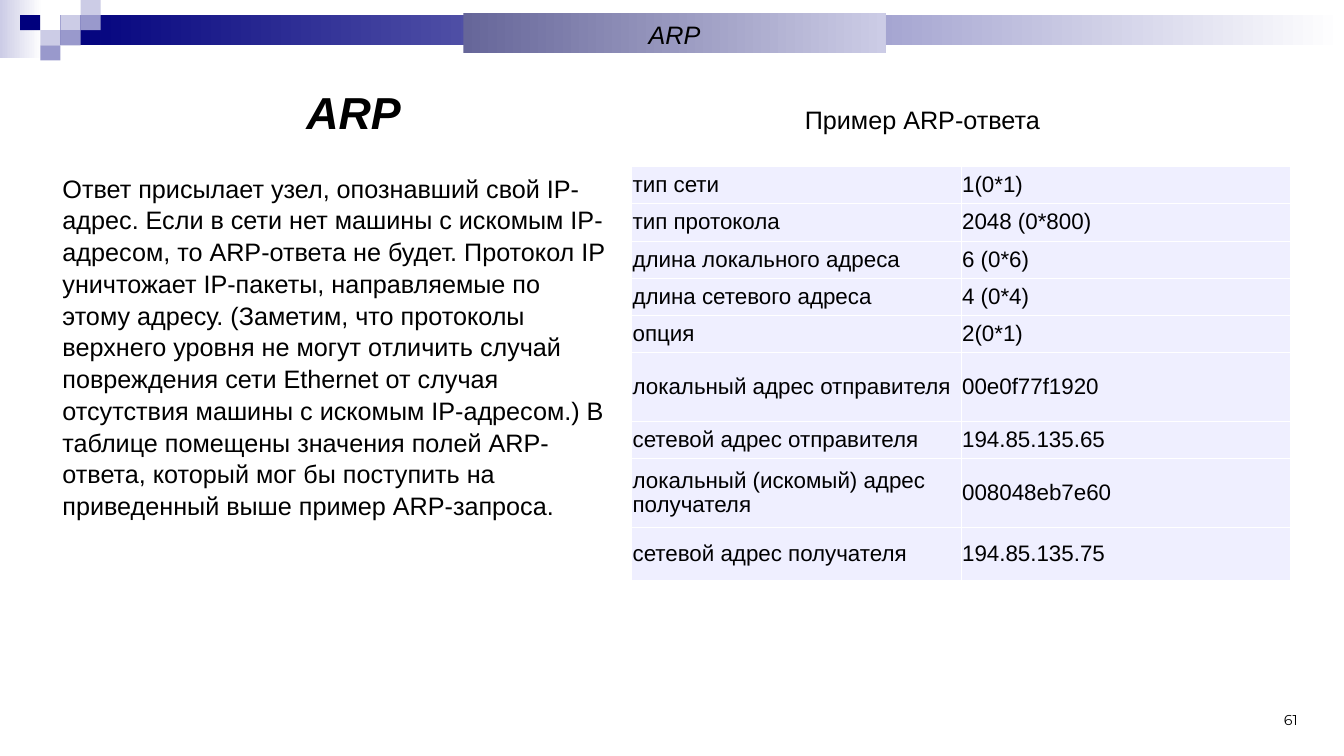
from lxml.etree import SubElement
from pptx import Presentation
from pptx.dml.color import RGBColor
from pptx.enum.shapes import MSO_SHAPE as Shape
from pptx.enum.text import MSO_ANCHOR as Anchor, MSO_AUTO_SIZE as AutoSize, PP_ALIGN as Align
from pptx.oxml.ns import qn
from pptx.util import Inches, Pt

BLACK = RGBColor(0x00, 0x00, 0x00)
WHITE = RGBColor(0xFF, 0xFF, 0xFF)
NAVY = RGBColor(0x00, 0x00, 0x7D)
SLATE = RGBColor(0x66, 0x66, 0x99)
LILAC = RGBColor(0x99, 0x99, 0xCC)
PALE = RGBColor(0xCC, 0xCC, 0xE6)
CELL = RGBColor(0xEF, 0xEF, 0xFF)

TEXT = {"name": "Arial", "size": Pt(18), "bold": False, "italic": False}
TITLE = {**TEXT, "size": Pt(32), "bold": True, "italic": True}
BANNER = {**TEXT, "italic": True}
TABLE = {**TEXT, "size": Pt(16)}
NUMBER = {**TEXT, "name": "Montserrat", "size": Pt(10.2)}

SQUARE_WIDTH, SQUARE_HEIGHT = 0.2, 0.15
SQUARES = [
    (3, 1, PALE), (4, 0, PALE), (4, 1, LILAC), (2, 2, PALE),
    (1, 1, NAVY), (3, 2, LILAC), (2, 3, LILAC),
]

BODY = (
    "Ответ присылает узел, опознавший свой IP-адрес. Если в сети нет машины "
    "с искомым IP-адресом, то ARP-ответа не будет. Протокол IP уничтожает "
    "IP-пакеты, направляемые по этому адресу. (Заметим, что протоколы верхнего "
    "уровня не могут отличить случай повреждения сети Ethernet от случая "
    "отсутствия машины с искомым IP-адресом.) В таблице помещены значения полей "
    "ARP-ответа, который мог бы поступить на приведенный выше пример ARP-запроса."
)

ROWS = [
    (0.37, "тип сети", "1(0*1)"),
    (0.37, "тип протокола", "2048 (0*800)"),
    (0.37, "длина локального адреса", "6 (0*6)"),
    (0.37, "длина сетевого адреса", "4 (0*4)"),
    (0.37, "опция", "2(0*1)"),
    (0.68, "локальный адрес отправителя", "00e0f77f1920"),
    (0.37, "сетевой адрес отправителя", "194.85.135.65"),
    (0.68, "локальный (искомый) адрес получателя", "008048eb7e60"),
    (0.53, "сетевой адрес получателя", "194.85.135.75"),
]


def write(frame, text, font, align=Align.LEFT, spacing=1.0):
    frame.text = text
    paragraph = frame.paragraphs[0]
    properties = paragraph._p.get_or_add_pPr()
    properties.set("marL", "0")
    properties.set("indent", "0")
    SubElement(properties, qn("a:buNone"))
    paragraph.alignment = align
    paragraph.line_spacing = spacing
    paragraph.space_before = Pt(0)
    for name, value in font.items():
        setattr(paragraph.font, name, value)
    paragraph.font.color.rgb = BLACK


def fill_frame(shape, text, font, anchor=Anchor.TOP, **layout):
    frame = shape.text_frame
    frame.word_wrap = True
    frame.auto_size = AutoSize.NONE
    frame.vertical_anchor = anchor
    write(frame, text, font, **layout)


def place(shape, left, top, width, height):
    shape.left, shape.top = Inches(left), Inches(top)
    shape.width, shape.height = Inches(width), Inches(height)


def add_rectangle(slide, box, start, end=None):
    shape = slide.shapes.add_shape(Shape.RECTANGLE, *map(Inches, box))
    shape.shadow.inherit = False
    shape.line.fill.background()
    if end is None:
        shape.fill.solid()
        shape.fill.fore_color.rgb = start
    else:
        shape.fill.gradient()
        shape.fill.gradient_angle = 0
        for stop, color in zip(shape.fill.gradient_stops, (start, end)):
            stop.color.rgb = color
    return shape


def add_text(slide, box, text, font, **layout):
    shape = slide.shapes.add_textbox(*map(Inches, box))
    fill_frame(shape, text, font, **layout)


def add_borders(cell):
    properties = cell._tc.get_or_add_tcPr()
    for index, side in enumerate(("lnL", "lnR", "lnT", "lnB")):
        line = properties.makeelement(qn(f"a:{side}"), {"w": str(Pt(0.45))})
        fill = SubElement(line, qn("a:solidFill"))
        SubElement(fill, qn("a:srgbClr"), val=str(WHITE))
        properties.insert(index, line)


def add_reply_table(slide):
    height = sum(row[0] for row in ROWS)
    box = map(Inches, (6.27, 1.65, 6.54, height))
    table = slide.shapes.add_table(len(ROWS), 2, *box).table
    table.first_row = table.horz_banding = False
    for row, (row_height, *texts) in zip(table.rows, ROWS):
        row.height = Inches(row_height)
        for cell, text in zip(row.cells, texts):
            cell.margin_left = cell.margin_right = Inches(0.01)
            cell.vertical_anchor = Anchor.MIDDLE
            cell.fill.solid()
            cell.fill.fore_color.rgb = CELL
            add_borders(cell)
            write(cell.text_frame, text, TABLE)


def add_header(slide):
    add_rectangle(slide, (0, 0, 0.42, 0.58), PALE, WHITE)
    add_rectangle(slide, (0.6, 0.15, 12.73, 0.3), NAVY, WHITE)
    for column, row, color in SQUARES:
        left, top = column * SQUARE_WIDTH, row * SQUARE_HEIGHT
        add_rectangle(slide, (left, top, SQUARE_WIDTH, SQUARE_HEIGHT), color)
    banner = add_rectangle(slide, (4.6, 0.13, 4.19, 0.4), SLATE, PALE)
    fill_frame(banner, "ARP", BANNER, align=Align.CENTER, spacing=1.05)


def main():
    presentation = Presentation()
    presentation.slide_width = Inches(13.34)
    presentation.slide_height = Inches(7.5)
    slide = presentation.slides.add_slide(presentation.slide_layouts[1])
    title, body = slide.placeholders

    add_header(slide)
    place(title, 2.94, 0.79, 4.6, 0.64)
    fill_frame(title, "ARP", TITLE, Anchor.MIDDLE)
    place(body, 0.52, 1.65, 5.67, 3.4)
    fill_frame(body, BODY, TEXT, spacing=1.05)
    add_text(slide, (7.89, 0.97, 3.28, 0.5), "Пример ARP-ответа", TEXT, spacing=1.05)
    add_reply_table(slide)
    add_text(slide, (12.02, 6.98, 0.96, 0.3), "61", NUMBER,
             anchor=Anchor.BOTTOM, align=Align.RIGHT, spacing=0.9)
    presentation.save("out.pptx")


if __name__ == "__main__":
    main()
